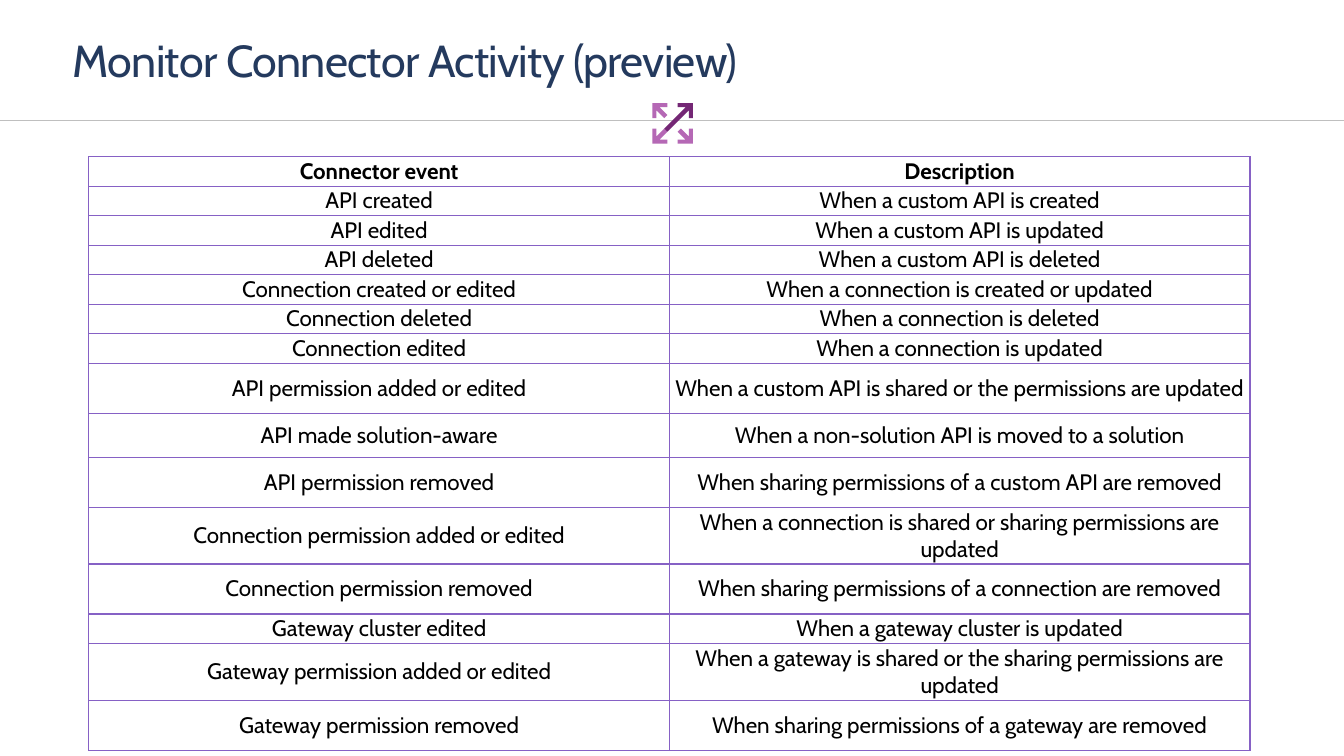
from dataclasses import dataclass

from lxml.etree import SubElement
from pptx import Presentation
from pptx.dml.color import RGBColor
from pptx.enum.shapes import MSO_CONNECTOR
from pptx.enum.text import MSO_ANCHOR, PP_ALIGN
from pptx.oxml import parse_xml
from pptx.oxml.ns import nsdecls, qn
from pptx.util import Cm, Pt


@dataclass(frozen=True)
class Theme:
    font: str = "Cabin"
    title_size: float = 32
    table_size: float = 16
    title: str = "243A5E"
    text: str = "000000"
    paper: str = "FFFFFF"
    rule: str = "BFBFBF"
    border: str = "8661C5"
    arrow_light: str = "B568B5"
    arrow_dark: str = "742775"


SINGLE, SPACED, SLIM, DOUBLE = 0.74, 1.26, 1.11, 1.43

EVENTS = [
    ("Connector event", "Description", SINGLE),
    ("API created", "When a custom API is created", SINGLE),
    ("API edited", "When a custom API is updated", SINGLE),
    ("API deleted", "When a custom API is deleted", SINGLE),
    ("Connection created or edited", "When a connection is created or updated", SINGLE),
    ("Connection deleted", "When a connection is deleted", SINGLE),
    ("Connection edited", "When a connection is updated", SINGLE),
    ("API permission added or edited",
     "When a custom API is shared or the permissions are updated", SPACED),
    ("API made solution-aware", "When a non-solution API is moved to a solution", SLIM),
    ("API permission removed",
     "When sharing permissions of a custom API are removed", SPACED),
    ("Connection permission added or edited",
     "When a connection is shared or sharing permissions are updated", DOUBLE),
    ("Connection permission removed",
     "When sharing permissions of a connection are removed", SPACED),
    ("Gateway cluster edited", "When a gateway cluster is updated", SINGLE),
    ("Gateway permission added or edited",
     "When a gateway is shared or the sharing permissions are updated", DOUBLE),
    ("Gateway permission removed",
     "When sharing permissions of a gateway are removed", SPACED),
]


class SlideBuilder:
    def __init__(self, slide, theme):
        self.slide = slide
        self.theme = theme

    def add_text(self, paragraph, text, size, color, bold=False):
        run = paragraph.add_run()
        run.text = text
        run.font.name = self.theme.font
        run.font.size = Pt(size)
        run.font.bold = bold
        run.font.color.rgb = RGBColor.from_string(color)
        return run

    def title(self, text, left, top, width, height):
        heading = self.slide.shapes.title
        heading.left, heading.top = Cm(left), Cm(top)
        heading.width, heading.height = Cm(width), Cm(height)
        heading.fill.solid()
        heading.fill.fore_color.rgb = RGBColor.from_string(self.theme.paper)
        frame = heading.text_frame
        frame.word_wrap = True
        frame.vertical_anchor = MSO_ANCHOR.TOP
        frame.margin_left = frame.margin_right = 0
        frame.margin_top = frame.margin_bottom = 0
        paragraph = frame.paragraphs[0]
        paragraph.alignment = PP_ALIGN.LEFT
        paragraph.line_spacing = Pt(36.2)
        run = self.add_text(paragraph, text, self.theme.title_size, self.theme.title)
        run.font._element.set("spc", "-50")

    def rule(self, left, right, y):
        divider = self.slide.shapes.add_connector(
            MSO_CONNECTOR.STRAIGHT, Cm(left), Cm(y), Cm(right), Cm(y))
        divider.line.color.rgb = RGBColor.from_string(self.theme.rule)
        divider.line.width = Pt(0.5)
        SubElement(divider._element.spPr, qn("a:effectLst"))

    def expand_icon(self, left, top, side):
        icon = self.slide.shapes.add_group_shape()
        head, stroke, notch = 0.38, 0.1, 0.08
        short, long = head, 0.72
        light, dark = self.theme.arrow_light, self.theme.arrow_dark
        arrows = [(True, True, short, light), (False, True, short, light),
                  (False, False, short, light), (True, False, long, dark)]
        for at_right, at_bottom, reach, color in arrows:
            outline = [(0, 0), (head, 0), (head, stroke), (stroke + notch, stroke),
                       (reach, reach - notch), (reach - notch, reach),
                       (stroke, stroke + notch), (stroke, head), (0, head)]
            points = [(Cm(left + (side - x if at_right else x)),
                       Cm(top + (side - y if at_bottom else y))) for x, y in outline]
            builder = icon.shapes.build_freeform(*points[0])
            builder.add_line_segments(points[1:])
            arrow = builder.convert_to_shape()
            arrow.shadow.inherit = False
            arrow.fill.solid()
            arrow.fill.fore_color.rgb = RGBColor.from_string(color)
            arrow.line.fill.background()

    def border(self, cell):
        properties = cell._tc.get_or_add_tcPr()
        for position, side in enumerate(("lnL", "lnR", "lnT", "lnB")):
            properties.insert(position, parse_xml(
                f'<a:{side} {nsdecls("a")} w="12700"><a:solidFill>'
                f'<a:srgbClr val="{self.theme.border}"/></a:solidFill></a:{side}>'))

    def table(self, rows, left, top, width):
        columns = 2
        height = sum(row[-1] for row in rows)
        events = self.slide.shapes.add_table(
            len(rows), columns, Cm(left), Cm(top), Cm(width), Cm(height)).table
        events.horz_banding = False
        for column in events.columns:
            column.width = Cm(width / columns)
        for index, (*texts, row_height) in enumerate(rows):
            events.rows[index].height = Cm(row_height)
            for cell, text in zip(events.rows[index].cells, texts):
                cell.fill.background()
                self.border(cell)
                cell.vertical_anchor = MSO_ANCHOR.MIDDLE
                cell.margin_left = cell.margin_right = Cm(0.05)
                cell.margin_top = cell.margin_bottom = Cm(0.03)
                paragraph = cell.text_frame.paragraphs[0]
                paragraph.alignment = PP_ALIGN.CENTER
                self.add_text(paragraph, text, self.theme.table_size,
                              self.theme.text, bold=index == 0)


def main():
    deck = Presentation()
    deck.slide_width, deck.slide_height = Cm(33.87), Cm(19.05)
    page = SlideBuilder(deck.slides.add_slide(deck.slide_layouts[5]), Theme())
    page.title("Monitor Connector Activity (preview)", 1.83, 0.89, 30.23, 1.28)
    page.rule(0, 33.87, 3.03)
    page.expand_icon(16.44, 2.6, 1.02)
    page.table(EVENTS, 2.24, 3.95, 29.26)
    deck.save("out.pptx")


if __name__ == "__main__":
    main()
